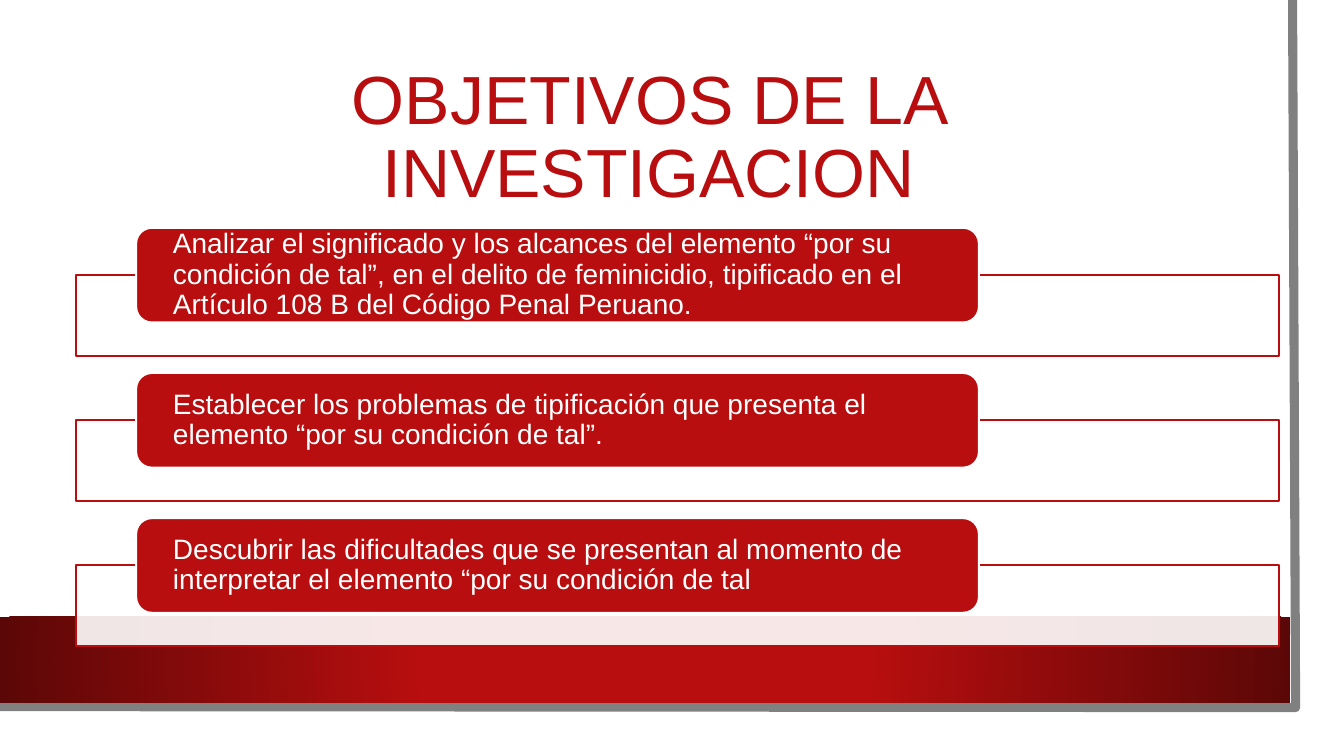
from dataclasses import dataclass

from pptx import Presentation
from pptx import util as u
from pptx.dml.color import RGBColor
from pptx.enum import shapes, text
from pptx.oxml import parse_xml
from pptx.oxml.ns import nsdecls, qn
from lxml import etree


@dataclass(frozen=True)
class Theme:
    font: str = "Arial"
    red: str = "B80E0F"
    dark_red: str = "5C0707"
    white: str = "FFFFFF"
    gray: str = "808080"
    title_size: float = 48.6
    body_size: float = 20
    line_spacing: float = 0.9


class SlideBuilder:
    def __init__(self, slide, theme):
        self.slide = slide
        self.theme = theme

    def outline(self, shape, color, width):
        if color is None:
            shape.line.fill.background()
        else:
            shape.line.color.rgb = RGBColor.from_string(color)
            shape.line.width = u.Pt(width)

    def box(self, box, fill, line=None, opacity=100, rounded=False):
        kinds = shapes.MSO_SHAPE
        kind = kinds.ROUNDED_RECTANGLE if rounded else kinds.RECTANGLE
        shape = self.slide.shapes.add_shape(kind, *map(u.Inches, box))
        shape.shadow.inherit = False
        shape.fill.solid()
        shape.fill.fore_color.rgb = RGBColor.from_string(fill)
        if opacity < 100:
            color = shape.element.spPr.find(qn("a:solidFill"))[0]
            etree.SubElement(color, qn("a:alpha"), val=str(opacity * 1000))
        self.outline(shape, line, 1.5)
        return shape

    def radial_band(self, box, inner, outer, inner_stop):
        """Add a rectangle whose colour spreads from its centre."""
        shape = self.box(box, inner)
        solid = shape.element.spPr.find(qn("a:solidFill"))
        stops = "".join(
            f'<a:gs pos="{stop * 1000}"><a:srgbClr val="{color}"/></a:gs>'
            for stop, color in ((inner_stop, inner), (100, outer))
        )
        gradient = parse_xml(
            f'<a:gradFill {nsdecls("a")} rotWithShape="1"><a:gsLst>{stops}</a:gsLst>'
            '<a:path path="circle"><a:fillToRect l="50000" t="50000" '
            'r="50000" b="50000"/></a:path></a:gradFill>'
        )
        solid.getparent().replace(solid, gradient)

    def polyline(self, points, color, width):
        start, *rest = [(u.Inches(x), u.Inches(y)) for x, y in points]
        builder = self.slide.shapes.build_freeform(*start)
        builder.add_line_segments(rest, close=False)
        shape = builder.convert_to_shape()
        shape.shadow.inherit = False
        shape.fill.background()
        self.outline(shape, color, width)

    def add_words(self, shape, words, size, color, align, side=0.1, edge=0.05):
        frame = shape.text_frame
        frame.word_wrap = True
        frame.vertical_anchor = text.MSO_ANCHOR.MIDDLE
        frame.margin_left = frame.margin_right = u.Inches(side)
        frame.margin_top = frame.margin_bottom = u.Inches(edge)
        paragraph = frame.paragraphs[0]
        paragraph.alignment = align
        paragraph.line_spacing = self.theme.line_spacing
        run = paragraph.add_run()
        run.text = words
        run.font.name = self.theme.font
        run.font.size = u.Pt(size)
        run.font.color.rgb = RGBColor.from_string(color)

    def background(self):
        theme = self.theme
        self.box((0, 0, 13.1, 7.27), theme.white)
        self.polyline([(12.82, 0), (12.85, 7.02), (-0.03, 7.01)], theme.gray, 6.5)
        self.radial_band((0, 6.12, 12.8, 0.85), theme.red, theme.dark_red, 34)

    def title(self, words):
        shape = self.slide.shapes.add_textbox(*map(u.Inches, (0.75, 0.75, 11.37, 1.26)))
        self.add_words(shape, words, self.theme.title_size, self.theme.red,
                       text.PP_ALIGN.CENTER)

    def objective(self, top, words):
        """Add a wide frame with a rounded label over its upper edge."""
        theme = self.theme
        self.box((0.75, top + 0.47, 11.94, 0.8), theme.white, theme.red, opacity=90)
        label = self.box((1.35, top, 8.36, 0.94), theme.red, theme.white, rounded=True)
        self.add_words(label, words, theme.body_size, theme.white, text.PP_ALIGN.LEFT,
                       side=0.32, edge=0)


OBJECTIVES = [
    "Analizar el significado y los alcances del elemento “por su condición de tal”, "
    "en el delito de feminicidio, tipificado en el Artículo 108 B del Código Penal Peruano.",
    "Establecer los problemas de tipificación que presenta el elemento "
    "“por su condición de tal”.",
    "Descubrir las dificultades que se presentan al momento de interpretar "
    "el elemento “por su condición de tal",
]
FIRST_TOP, STEP = 2.26, 1.44


def main():
    presentation = Presentation()
    presentation.slide_width = u.Inches(13.33)
    presentation.slide_height = u.Inches(7.5)
    slide = presentation.slides.add_slide(presentation.slide_layouts[6])
    builder = SlideBuilder(slide, Theme())
    builder.background()
    builder.title("OBJETIVOS DE LA INVESTIGACION")
    for index, words in enumerate(OBJECTIVES):
        builder.objective(FIRST_TOP + index * STEP, words)
    presentation.save("out.pptx")


if __name__ == "__main__":
    main()
